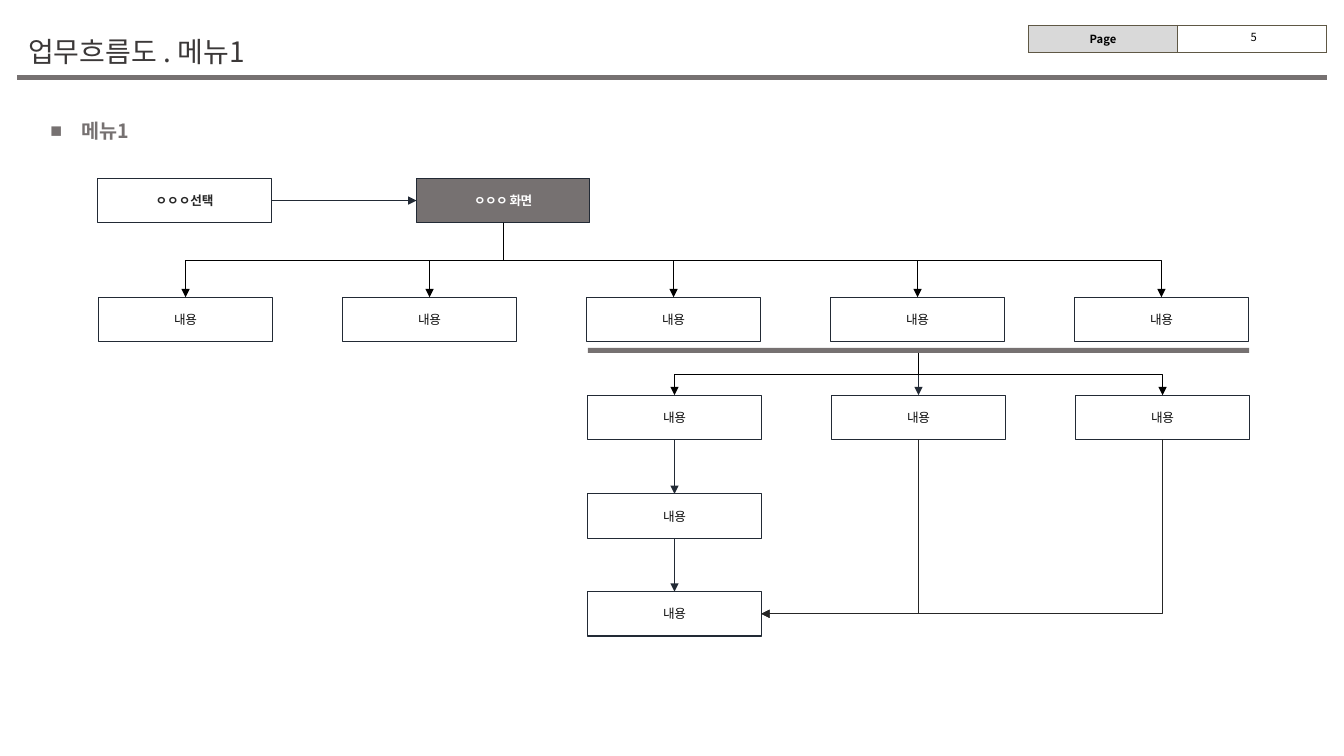
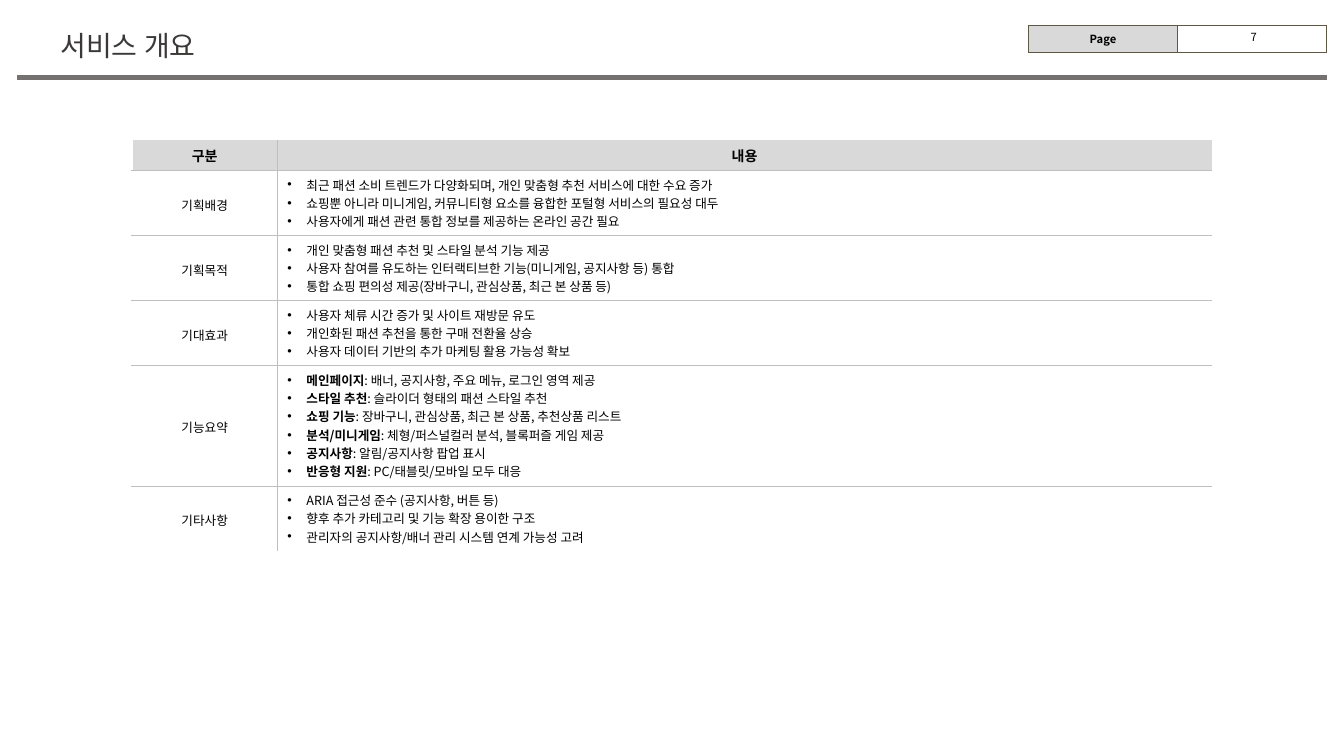
import lxml.etree
import pptx
import pptx.dml.color
import pptx.enum.shapes
import pptx.enum.text
import pptx.oxml.ns
import pptx.util

Inches, Pt = pptx.util.Inches, pptx.util.Pt
RGBColor = pptx.dml.color.RGBColor
Align = pptx.enum.text.PP_ALIGN
Anchor = pptx.enum.text.MSO_ANCHOR
Link = pptx.enum.shapes.MSO_CONNECTOR
qn = pptx.oxml.ns.qn

BLACK = RGBColor(0x00, 0x00, 0x00)
WHITE = RGBColor(0xFF, 0xFF, 0xFF)
INK = RGBColor(0x0D, 0x0D, 0x0D)
DARK = RGBColor(0x26, 0x26, 0x26)
TITLE = RGBColor(0x3B, 0x38, 0x38)
NAVY = RGBColor(0x22, 0x2A, 0x35)
GRAY = RGBColor(0x76, 0x71, 0x71)
PALE = RGBColor(0xD9, 0xD9, 0xD9)
GRID = RGBColor(0xBF, 0xBF, 0xBF)
OLIVE = RGBColor(0x5F, 0x58, 0x45)

FONT = "Noto Sans CJK KR"
TOP, LEFT, BOTTOM, RIGHT = range(4)
BOX_W, BOX_H, STEP = 1.72, 0.44, 2.42
UPPER = [0.98 + STEP * i for i in range(5)]
LOWER = [5.83 + STEP * i for i in range(3)]
ROWS = [2.95, 3.92, 4.9, 5.87]

PLAN = [
    ("기획배경", [
        "최근 패션 소비 트렌드가 다양화되며, 개인 맞춤형 추천 서비스에 대한 수요 증가",
        "쇼핑뿐 아니라 미니게임, 커뮤니티형 요소를 융합한 포털형 서비스의 필요성 대두",
        "사용자에게 패션 관련 통합 정보를 제공하는 온라인 공간 필요",
    ]),
    ("기획목적", [
        "개인 맞춤형 패션 추천 및 스타일 분석 기능 제공",
        "사용자 참여를 유도하는 인터랙티브한 기능(미니게임, 공지사항 등) 통합",
        "통합 쇼핑 편의성 제공(장바구니, 관심상품, 최근 본 상품 등)",
    ]),
    ("기대효과", [
        "사용자 체류 시간 증가 및 사이트 재방문 유도",
        "개인화된 패션 추천을 통한 구매 전환율 상승",
        "사용자 데이터 기반의 추가 마케팅 활용 가능성 확보",
    ]),
    ("기능요약", [
        ("메인페이지", ": 배너, 공지사항, 주요 메뉴, 로그인 영역 제공"),
        ("스타일 추천", ": 슬라이더 형태의 패션 스타일 추천"),
        ("쇼핑 기능", ": 장바구니, 관심상품, 최근 본 상품, 추천상품 리스트"),
        ("분석/미니게임", ": 체형/퍼스널컬러 분석, 블록퍼즐 게임 제공"),
        ("공지사항", ": 알림/공지사항 팝업 표시"),
        ("반응형 지원", ": PC/태블릿/모바일 모두 대응"),
    ]),
    ("기타사항", [
        "ARIA 접근성 준수 (공지사항, 버튼 등)",
        "향후 추가 카테고리 및 기능 확장 용이한 구조",
        "관리자의 공지사항/배너 관리 시스템 연계 가능성 고려",
    ]),
]


def add_run(para, text, size, color=BLACK, bold=False, font=FONT, tight=False):
    run = para.add_run()
    run.text = text
    run.font.size = Pt(size)
    run.font.bold = bold
    run.font.color.rgb = color
    run.font.name = font
    props = run.font._element
    props.set("kern", "0")
    lxml.etree.SubElement(props, qn("a:ea")).set("typeface", FONT)
    if tight:
        props.set("spc", "-40")


def add_mark(para, mark, indent):
    """Give the paragraph a hanging bullet."""
    props = para._p.get_or_add_pPr()
    props.set("marL", str(Inches(indent)))
    props.set("indent", str(-Inches(indent)))
    lxml.etree.SubElement(props, qn("a:buFont")).set("typeface", "Arial")
    lxml.etree.SubElement(props, qn("a:buChar")).set("char", mark)


def add_text(slide, x, y, w, h):
    """Add a wrapping text box and return its frame."""
    frame = slide.shapes.add_textbox(
        Inches(x), Inches(y), Inches(w), Inches(h)).text_frame
    frame.word_wrap = True
    return frame


def add_rect(slide, x, y, w, h, fill=None, edge=None):
    rect = slide.shapes.add_shape(
        pptx.enum.shapes.MSO_SHAPE.RECTANGLE,
        Inches(x), Inches(y), Inches(w), Inches(h))
    rect.shadow.inherit = False
    if fill is None:
        rect.fill.background()
    else:
        rect.fill.solid()
        rect.fill.fore_color.rgb = fill
    if edge is None:
        rect.line.fill.background()
    else:
        rect.line.color.rgb = edge
        rect.line.width = Pt(0.75)
    return rect


def add_box(slide, x, y, text="내용", color=INK, fill=None, bold=False,
            tight=True):
    box = add_rect(slide, x, y, BOX_W, BOX_H, fill, NAVY)
    frame = box.text_frame
    frame.vertical_anchor = Anchor.MIDDLE
    frame.margin_left = frame.margin_right = Inches(0.08)
    para = frame.paragraphs[0]
    para.alignment = Align.CENTER
    add_run(para, text, 9, color, bold, tight=tight)
    return box


def add_line(slide, kind, color, width, ends=(0, 0, 0, 0)):
    line = slide.shapes.add_connector(kind, *[Inches(n) for n in ends])
    line.line.color.rgb = color
    line.line.width = Pt(width)
    lxml.etree.SubElement(line._element.spPr, qn("a:effectLst"))
    return line


def add_arrow(slide, start, side, end, stop, color=NAVY, kind=Link.STRAIGHT):
    line = add_line(slide, kind, color, 0.5)
    line.begin_connect(start, side)
    line.end_connect(end, stop)
    tail = lxml.etree.SubElement(line.line._get_or_add_ln(), qn("a:tailEnd"))
    tail.set("type", "triangle")
    return line


def add_bend(slide, start, end, stop=TOP, color=BLACK):
    """Draw an elbow arrow that leaves the bottom of start downwards."""
    line = add_arrow(slide, start, BOTTOM, end, stop, color, Link.ELBOW)
    x1, y1, x2, y2 = line.begin_x, line.begin_y, line.end_x, line.end_y
    wide, high = abs(x2 - x1), abs(y2 - y1)
    line.left = (x1 + x2 - high) // 2
    line.top = (y1 + y2 - wide) // 2
    line.width, line.height = high, wide
    frame = line._element.spPr.find(qn("a:xfrm"))
    for flip in ("flipH", "flipV"):
        frame.attrib.pop(flip, None)
    turn = 90
    if x2 > x1:
        turn = 270
        frame.set("flipH", "1")
    frame.set("rot", str(turn * 60000))
    if stop == RIGHT:
        line._element.spPr.find(qn("a:prstGeom")).set("prst", "bentConnector2")


def add_table(slide, x, y, cols, rows):
    table = slide.shapes.add_table(
        len(rows), len(cols), Inches(x), Inches(y),
        Inches(sum(cols)), Inches(sum(rows))).table
    table.first_row = table.horz_banding = False
    for col, width in zip(table.columns, cols):
        col.width = Inches(width)
    for row, height in zip(table.rows, rows):
        row.height = Inches(height)
    return table


def style_cell(cell, edges, fill=None):
    """Set borders, given as side: (colour, points), and then the fill."""
    props = cell._tc.get_or_add_tcPr()
    for side in "LRTB":
        edge = lxml.etree.SubElement(props, qn("a:ln" + side))
        if side not in edges:
            lxml.etree.SubElement(edge, qn("a:noFill"))
            continue
        color, width = edges[side]
        edge.set("w", str(Pt(width)))
        solid = lxml.etree.SubElement(edge, qn("a:solidFill"))
        lxml.etree.SubElement(solid, qn("a:srgbClr")).set("val", str(color))
    if fill is None:
        cell.fill.background()
    else:
        cell.fill.solid()
        cell.fill.fore_color.rgb = fill
    cell.vertical_anchor = Anchor.MIDDLE


def fill_label(cell, text, size, bold=False, font=FONT):
    para = cell.text_frame.paragraphs[0]
    para.alignment = Align.CENTER
    add_run(para, text, size, bold=bold, font=font)
    return para


def fill_list(cell, items):
    frame = cell.text_frame
    for i, item in enumerate(items):
        para = frame.add_paragraph() if i else frame.paragraphs[0]
        add_mark(para, "•", 0.19)
        if isinstance(item, tuple):
            head, item = item
            add_run(para, head, 9, bold=True)
        add_run(para, item, 9)


def add_tag(slide, number):
    """Add the page tag: a two-cell table with the number set over it."""
    tag = add_table(slide, 10.2, 0.25, [1.48, 1.47], [0.27])
    edges = dict.fromkeys("LRTB", (OLIVE, 0.5))
    name, blank = tag.cell(0, 0), tag.cell(0, 1)
    style_cell(name, edges, PALE)
    fill_label(name, "Page", 8, True)
    style_cell(blank, edges, WHITE)
    end = lxml.etree.SubElement(
        blank.text_frame.paragraphs[0]._p, qn("a:endParaRPr"))
    end.set("sz", "800")
    frame = add_text(slide, 11.7, 0.25, 1.47, 0.23)
    frame.margin_left = frame.margin_right = 0
    frame.margin_top = frame.margin_bottom = 0
    frame.vertical_anchor = Anchor.MIDDLE
    frame.paragraphs[0].alignment = Align.CENTER
    add_run(frame.paragraphs[0], number, 8)


def add_page(deck, title, number, x, y, w, h):
    """Add a slide with its title, rule and page tag."""
    slide = deck.slides.add_slide(deck.slide_layouts[6])
    add_line(slide, Link.STRAIGHT, GRAY, 3, (0.17, 0.77, 13.16, 0.77))
    add_tag(slide, number)
    frame = add_text(slide, x, y, w, h)
    frame.vertical_anchor = Anchor.MIDDLE
    frame.paragraphs[0].line_spacing = 0.9
    add_run(frame.paragraphs[0], title, 20, TITLE)
    return slide


def add_flow(deck):
    slide = add_page(deck, "업무흐름도 . 메뉴1", "5", 0.18, 0.27, 6.49, 0.51)
    frame = add_text(slide, 0.5, 1.13, 3.18, 0.34)
    frame.margin_left = frame.margin_right = 0
    add_mark(frame.paragraphs[0], "■", 0.31)
    add_run(frame.paragraphs[0], "메뉴1", 14, GRAY, True)

    pick = add_box(slide, 0.97, 1.77, "ㅇㅇㅇ선택", DARK, bold=True, tight=False)
    view = add_box(slide, 4.13, 1.77, "ㅇㅇㅇ 화면", WHITE, GRAY, True)
    add_arrow(slide, pick, RIGHT, view, LEFT)
    for x in UPPER:
        add_bend(slide, view, add_box(slide, x, ROWS[0]))

    bar = add_rect(slide, LOWER[0], 3.45, 2 * STEP + BOX_W, 0.05, GRAY)
    left, mid, right = [add_box(slide, x, ROWS[1]) for x in LOWER]
    add_bend(slide, bar, left)
    add_arrow(slide, bar, BOTTOM, mid, TOP)
    add_bend(slide, bar, right)

    last = left
    for y in ROWS[2:]:
        box = add_box(slide, LOWER[0], y)
        add_arrow(slide, last, BOTTOM, box, TOP)
        last = box
    for box in (mid, right):
        add_bend(slide, box, last, RIGHT, DARK)


def add_brief(deck):
    slide = add_page(deck, "서비스 개요", "7", 0.5, 0.14, 12.49, 0.67)
    rows = [0.3] + [0.1 + 13.1 / 72 * len(items) for _, items in PLAN]
    table = add_table(slide, 1.31, 1.39, [1.44, 9.27], rows)
    thin = (GRID, 0.25)
    for r in range(len(rows)):
        edges = {}
        if r > 0:
            edges["T"] = thin
        if r < len(PLAN):
            edges["B"] = thin
        fill = None if r else PALE
        style_cell(table.cell(r, 0), {**edges, "L": (WHITE, 1), "R": thin}, fill)
        style_cell(table.cell(r, 1), {**edges, "L": thin}, fill)
    for c, head in enumerate(["구분", "내용"]):
        fill_label(table.cell(0, c), head, 10, True)
    for r, (label, items) in enumerate(PLAN, 1):
        fill_label(table.cell(r, 0), label, 9, font="Arial").line_spacing = 1.2
        fill_list(table.cell(r, 1), items)


def main():
    deck = pptx.Presentation()
    deck.slide_width, deck.slide_height = Inches(13.33), Inches(7.5)
    add_flow(deck)
    add_brief(deck)
    deck.save("out.pptx")


if __name__ == "__main__":
    main()
